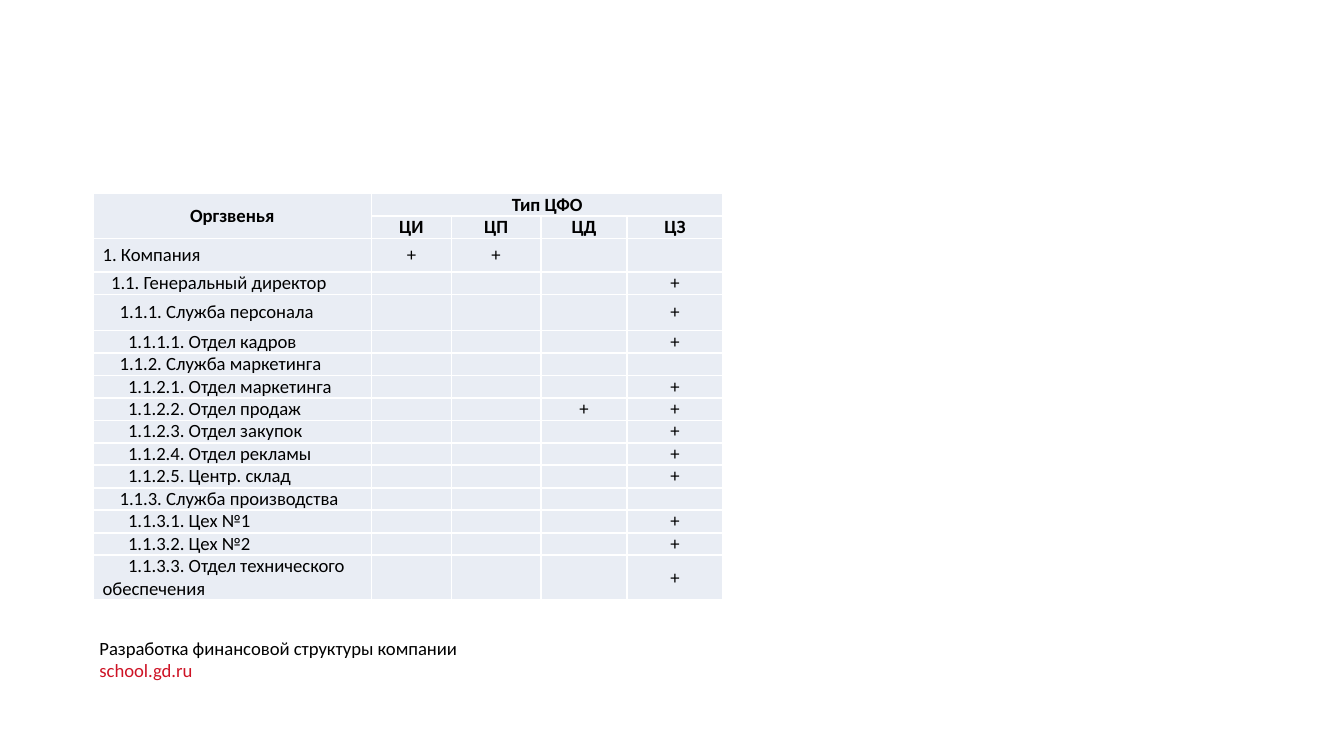
from dataclasses import dataclass

from lxml.etree import SubElement
from pptx import Presentation
from pptx.dml.color import RGBColor
from pptx.enum.text import MSO_ANCHOR, MSO_AUTO_SIZE, PP_ALIGN
from pptx.oxml.ns import qn
from pptx.util import Cm, Pt

COLORS = {"text": "000000", "link": "CE1325", "cell": "E9EDF4", "border": "FFFFFF"}
FONT = "Calibri"
SIZE = Pt(10)
INDENT_STEP = Cm(0.16)
LINE_HEIGHT = 0.42
COLUMN_WIDTHS = [5.26, 1.51, 1.69, 1.63, 1.81]
CENTER_TYPES = ["ЦИ", "ЦП", "ЦД", "ЦЗ"]


@dataclass
class Unit:
    name: str
    level: int
    marks: tuple = ("ЦЗ",)
    height: float = LINE_HEIGHT


UNITS = [
    Unit("1. Компания", 0, ("ЦИ", "ЦП"), 0.63),
    Unit("1.1. Генеральный директор", 1),
    Unit("1.1.1. Служба персонала", 2, height=0.68),
    Unit("1.1.1.1. Отдел кадров", 3),
    Unit("1.1.2. Служба маркетинга", 2, ()),
    Unit("1.1.2.1. Отдел маркетинга", 3),
    Unit("1.1.2.2. Отдел продаж", 3, ("ЦД", "ЦЗ")),
    Unit("1.1.2.3. Отдел закупок", 3),
    Unit("1.1.2.4. Отдел рекламы", 3),
    Unit("1.1.2.5. Центр. склад", 3),
    Unit("1.1.3. Служба производства", 2, ()),
    Unit("1.1.3.1. Цех №1", 3),
    Unit("1.1.3.2. Цех №2", 3),
    Unit("1.1.3.3. Отдел технического обеспечения", 3, height=2 * LINE_HEIGHT),
]


def format_runs(p, color: str = "text", bold: bool = False) -> None:
    for r in p.runs:
        r.font.name = FONT
        r.font.size = SIZE
        r.font.bold = bold
        r.font.color.rgb = RGBColor.from_string(COLORS[color])


def style_cell(cell) -> None:
    cell.margin_left = cell.margin_right = Cm(0.18)
    cell.margin_top = cell.margin_bottom = 0
    cell.vertical_anchor = MSO_ANCHOR.MIDDLE
    tc_pr = cell._tc.get_or_add_tcPr()
    for side in ("lnL", "lnR", "lnT", "lnB"):
        line = SubElement(tc_pr, qn(f"a:{side}"), w=str(Pt(1)))
        fill = SubElement(line, qn("a:solidFill"))
        SubElement(fill, qn("a:srgbClr"), val=COLORS["border"])
    cell.fill.solid()
    cell.fill.fore_color.rgb = RGBColor.from_string(COLORS["cell"])
    p = cell.text_frame.paragraphs[0]
    SubElement(p._p, qn("a:endParaRPr"), sz=str(int(SIZE.pt * 100)))


def write_cell(cell, text: str, bold: bool = False, level: int | None = None) -> None:
    p = cell.text_frame.paragraphs[0]
    p.text = text
    if level is None:
        p.alignment = PP_ALIGN.CENTER
    else:
        p.alignment = PP_ALIGN.LEFT
        p._p.get_or_add_pPr().set("indent", str(level * INDENT_STEP))
    format_runs(p, bold=bold)


def add_unit_table(s) -> None:
    heights = [LINE_HEIGHT] * 2 + [unit.height for unit in UNITS]
    table = s.shapes.add_table(
        len(heights), len(COLUMN_WIDTHS), Cm(1.76), Cm(3.66),
        Cm(sum(COLUMN_WIDTHS)), Cm(sum(heights)),
    ).table
    table.first_row = table.horz_banding = False
    for column, width in zip(table.columns, COLUMN_WIDTHS):
        column.width = Cm(width)
    for row, height in zip(table.rows, heights):
        row.height = Cm(height)
    for cell in table.iter_cells():
        style_cell(cell)

    table.cell(0, 0).merge(table.cell(1, 0))
    table.cell(0, 1).merge(table.cell(0, len(CENTER_TYPES)))
    write_cell(table.cell(0, 0), "Оргзвенья", bold=True)
    write_cell(table.cell(0, 1), "Тип ЦФО", bold=True)
    for col, center in enumerate(CENTER_TYPES, 1):
        write_cell(table.cell(1, col), center, bold=True)
    for row, unit in enumerate(UNITS, 2):
        write_cell(table.cell(row, 0), unit.name, level=unit.level)
        for mark in unit.marks:
            write_cell(table.cell(row, CENTER_TYPES.index(mark) + 1), "+")


def add_caption(s) -> None:
    tf = s.shapes.add_textbox(Cm(1.63), Cm(11.91), Cm(7.37), Cm(1.12)).text_frame
    tf.word_wrap = False
    tf.auto_size = MSO_AUTO_SIZE.SHAPE_TO_FIT_TEXT
    tf.text = "Разработка финансовой структуры компании\nschool.gd.ru"
    for p, color in zip(tf.paragraphs, ("text", "link")):
        format_runs(p, color)


def main() -> None:
    prs = Presentation()
    prs.slide_width, prs.slide_height = Cm(25.4), Cm(14.29)
    s = prs.slides.add_slide(prs.slide_layouts[6])
    add_caption(s)
    add_unit_table(s)
    prs.save("out.pptx")


if __name__ == "__main__":
    main()
